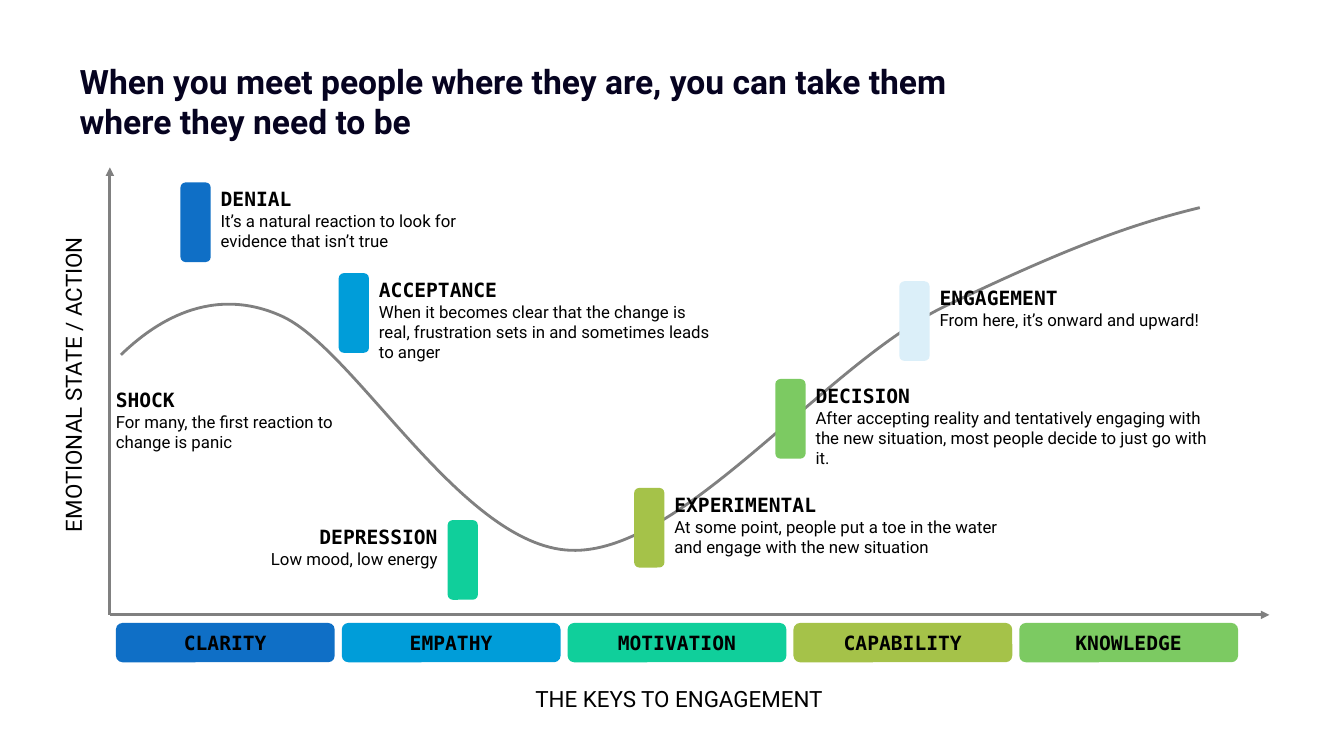
from lxml import etree
from pptx import Presentation
from pptx.dml.color import RGBColor
from pptx.enum.shapes import MSO_CONNECTOR, MSO_SHAPE
from pptx.enum.text import MSO_ANCHOR, MSO_AUTO_SIZE, PP_ALIGN
from pptx.oxml.ns import qn
from pptx.util import Inches, Pt

HEADING = {"size": 14, "font": "DejaVu Sans Mono", "bold": True}
GRAY = "808080"


def color(target, value):
    """Give a fill or a line's fill a solid hex colour."""
    target.solid()
    target.fore_color.rgb = RGBColor.from_string(value)


def write(paragraph, text, size=12, font="Roboto", bold=False, ink="000000", align=PP_ALIGN.LEFT):
    paragraph.alignment = align
    run = paragraph.add_run()
    run.text = text
    run.font.size = Pt(size)
    run.font.name = font
    run.font.bold = bold
    color(run.font.fill, ink)


presentation = Presentation()
presentation.slide_width = Inches(13.33)
presentation.slide_height = Inches(7.5)
slide = presentation.slides.add_slide(presentation.slide_layouts[5])
shapes = slide.shapes

# Title
title = shapes.title
title.left, title.top, title.width, title.height = map(Inches, (0.69, 0.53, 9.53, 0.94))
frame = title.text_frame
frame.word_wrap = True
frame.auto_size = MSO_AUTO_SIZE.NONE
frame.vertical_anchor = MSO_ANCHOR.TOP
frame.margin_top = Inches(0.07)
write(frame.paragraphs[0], "When you meet people where they are, you can take them where they need to be",
      size=24, bold=True, ink="060320")

# Change curve: a start point, then two control points and an end point per segment
curve_points = [
    (1.2, 3.52),
    (1.45, 3.28), (2.03, 2.8), (2.78, 3.13),
    (3.53, 3.45), (4.61, 5.48), (5.71, 5.46),
    (6.8, 5.45), (8.19, 3.61), (9.37, 3.04),
    (10.56, 2.47), (11.2, 2.23), (11.9, 2.06),
]
start, *controls = [(Inches(x), Inches(y)) for x, y in curve_points]
builder = shapes.build_freeform(*start)
builder.add_line_segments(controls, close=False)
curve = builder.convert_to_shape()
curve.shadow.inherit = False
curve.fill.background()
color(curve.line.fill, GRAY)
curve.line.width = Pt(2)
outline = curve._element.xpath(".//a:path")[0]
line_steps = outline.findall(qn("a:lnTo"))
for first in range(0, len(line_steps), 3):
    bezier = etree.SubElement(outline, qn("a:cubicBezTo"))
    for step in line_steps[first:first + 3]:
        bezier.append(step[0])
        outline.remove(step)

# Stages: heading, description, marker colour, group left and top, text width and height
stages = [
    ("DENIAL", "It’s a natural reaction to look for evidence that isn’t true",
     "0F6FC6", 1.79, 1.81, 2.91, 0.74),
    ("ACCEPTANCE", "When it becomes clear that the change is real, frustration sets in "
     "and sometimes leads to anger", "009DD9", 3.36, 2.71, 3.49, 0.94),
    ("DEPRESSION", "Low mood, low energy", "10CF9B", 1.69, 5.16, 2.75, 0.54),
    ("EXPERIMENTAL", "At some point, people put a toe in the water and engage with the new situation",
     "A5C249", 6.29, 4.84, 3.63, 0.74),
    ("DECISION", "After accepting reality and tentatively engaging with the new situation, "
     "most people decide to just go with it.", "7CCA62", 7.69, 3.76, 4.09, 0.94),
    ("ENGAGEMENT", "From here, it’s onward and upward!", "DBEFF9", 8.92, 2.79, 2.81, 0.54),
    ("SHOCK", "For many, the first reaction to change is panic", None, 1.05, 3.8, 2.6, 0.74),
]
marker_width = 0.3
for heading, description, fill, left, top, width, height in stages:
    parent = shapes
    text_left = left
    align = PP_ALIGN.LEFT
    if fill:
        parent = shapes.add_group_shape().shapes
        marker_left = left
        if heading == "DEPRESSION":
            marker_left = left + width
            align = PP_ALIGN.RIGHT
        else:
            text_left = left + marker_width
        marker = parent.add_shape(MSO_SHAPE.ROUNDED_RECTANGLE, Inches(marker_left), Inches(top),
                                  Inches(marker_width), Inches(0.79))
        marker.shadow.inherit = False
        color(marker.fill, fill)
        marker.line.fill.background()
    label = parent.add_textbox(Inches(text_left), Inches(top), Inches(width), Inches(height))
    frame = label.text_frame
    frame.word_wrap = True
    frame.auto_size = MSO_AUTO_SIZE.SHAPE_TO_FIT_TEXT
    write(frame.paragraphs[0], heading, align=align, **HEADING)
    write(frame.add_paragraph(), description, align=align)

# Axes
axes = shapes.add_group_shape().shapes
for end_x, end_y in [(1.09, 1.66), (12.59, 6.1)]:
    axis = axes.add_connector(MSO_CONNECTOR.STRAIGHT, Inches(1.09), Inches(6.1),
                              Inches(end_x), Inches(end_y))
    color(axis.line.fill, GRAY)
    axis.line.width = Pt(2)
    etree.SubElement(axis.line._get_or_add_ln(), qn("a:tailEnd"), type="triangle")
    etree.SubElement(axis._element.spPr, qn("a:effectLst"))

axis_titles = [
    ("EMOTIONAL STATE / ACTION", "vert270", 0.54, 2.27, 0.47, 3.09),
    ("THE KEYS TO ENGAGEMENT", "horz", 5.18, 6.75, 3.11, 0.37),
]
for text, direction, *box in axis_titles:
    frame = shapes.add_textbox(*map(Inches, box)).text_frame
    frame.word_wrap = False
    frame.auto_size = MSO_AUTO_SIZE.SHAPE_TO_FIT_TEXT
    frame._txBody.bodyPr.set("vert", direction)
    write(frame.paragraphs[0], text, size=16, align=PP_ALIGN.CENTER)

# Keys to engagement
keys = [
    ("CLARITY", "0F6FC6"),
    ("EMPATHY", "009DD9"),
    ("MOTIVATION", "10CF9B"),
    ("CAPABILITY", "A5C249"),
    ("KNOWLEDGE", "7CCA62"),
]
for index, (name, fill) in enumerate(keys):
    key = shapes.add_shape(MSO_SHAPE.ROUNDED_RECTANGLE, Inches(1.15 + 2.24 * index), Inches(6.18),
                           Inches(2.17), Inches(0.39))
    key.shadow.inherit = False
    color(key.fill, fill)
    key.line.fill.background()
    key.text_frame.vertical_anchor = MSO_ANCHOR.MIDDLE
    write(key.text_frame.paragraphs[0], name, align=PP_ALIGN.CENTER, **HEADING)

presentation.save("out.pptx")
